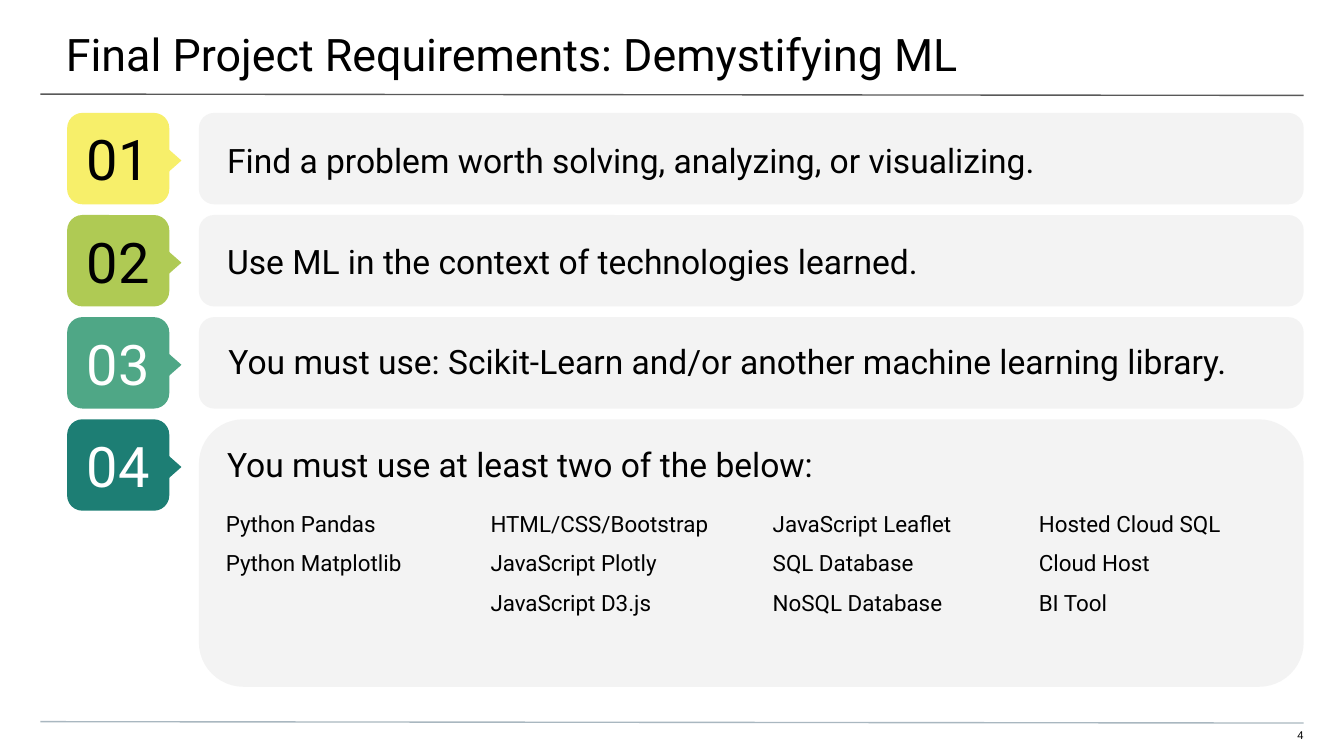
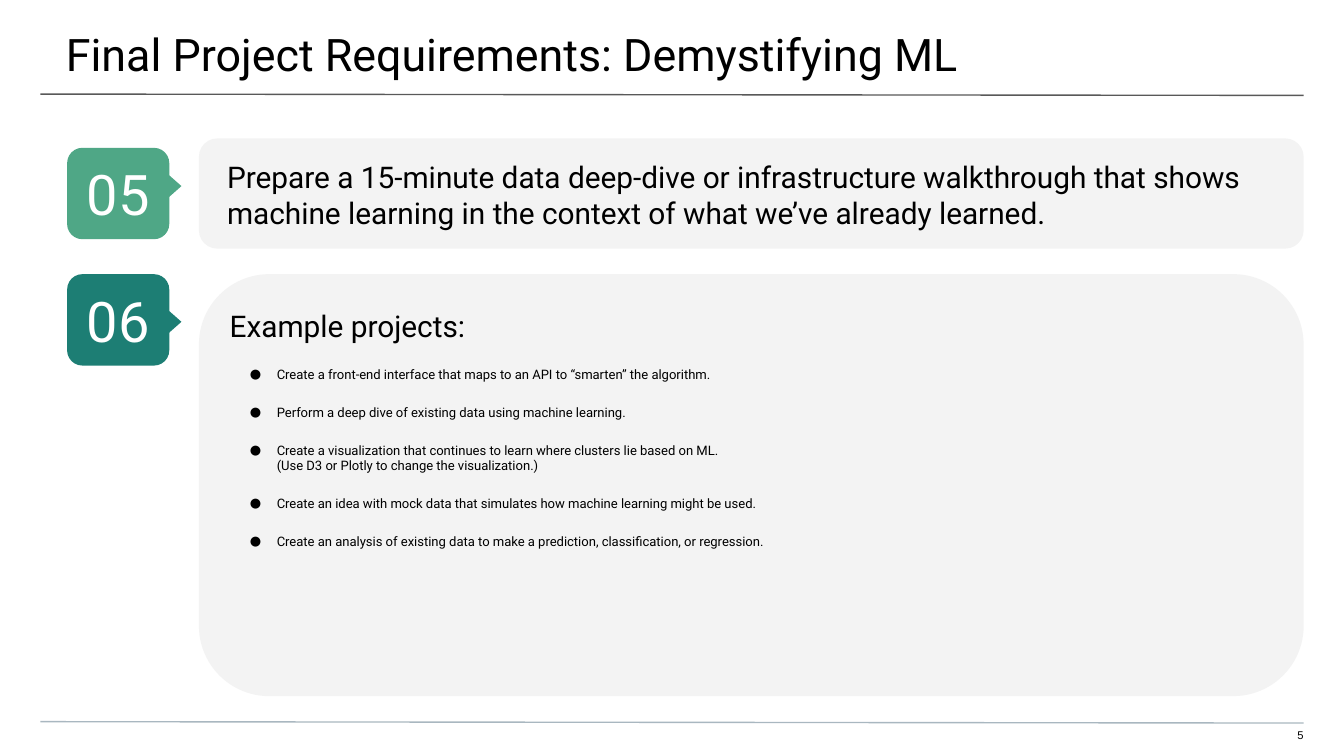
from copy import deepcopy

from lxml import etree
from pptx import Presentation
from pptx.dml.color import RGBColor
from pptx.enum.shapes import MSO_CONNECTOR, MSO_SHAPE
from pptx.enum.text import MSO_ANCHOR, PP_ALIGN
from pptx.oxml.ns import qn
from pptx.util import Inches, Pt

ROUNDED = MSO_SHAPE.ROUNDED_RECTANGLE
TRIANGLE = MSO_SHAPE.FLOWCHART_EXTRACT
STRAIGHT = MSO_CONNECTOR.STRAIGHT
TOP, MIDDLE = MSO_ANCHOR.TOP, MSO_ANCHOR.MIDDLE
LEFT, CENTER, RIGHT = PP_ALIGN.LEFT, PP_ALIGN.CENTER, PP_ALIGN.RIGHT

BLACK, WHITE = "000000", "FFFFFF"
CARD_GRAY = "F3F3F3"
TITLE_RULE, FOOTER_RULE = "595959", "A9B7C0"
YELLOW, LIME, GREEN, TEAL = "F7EF6A", "AFCA54", "4FA786", "1D7E74"
BODY_FONT = "Roboto"

TITLE = "Final Project Requirements: Demystifying ML"
FIRST_TOP, ROW_PITCH, BADGE_HEIGHT = 0.84, 0.76, 0.68
CARD_INSETS = (1.7, 0, 0.5, 0)

REQUIREMENTS = [
    # number, badge fill, number colour, card height, text left, text top, text
    ("01", YELLOW, BLACK, 0.68, -0.01, 0.86,
     "Find a problem worth solving, analyzing, or visualizing."),
    ("02", LIME, BLACK, 0.68, -0.01, 1.61,
     "Use ML in the context of technologies learned."),
    ("03", GREEN, WHITE, 0.68, 0, 2.36,
     "You must use: Scikit-Learn and/or another machine learning library."),
    ("04", TEAL, WHITE, 1.99, -0.01, 3.12,
     "You must use at least two of the below:"),
]

TECHNOLOGIES = [
    (1.97, ["Python Pandas", "Python Matplotlib"]),
    (2.1, ["HTML/CSS/Bootstrap", "JavaScript Plotly", "JavaScript D3.js"]),
    (1.98, ["JavaScript Leaflet", "SQL Database", "NoSQL Database"]),
    (1.97, ["Hosted Cloud SQL", "Cloud Host", "BI Tool"]),
]

EXAMPLES = [
    "Create a front-end interface that maps to an API to “smarten” the algorithm.",
    "Perform a deep dive of existing data using machine learning.",
    "Create a visualization that continues to learn where clusters lie based on ML. \n"
    "(Use D3 or Plotly to change the visualization.)",
    "Create an idea with mock data that simulates how machine learning might be used.",
    "Create an analysis of existing data to make a prediction, classification, or regression.",
]


def color(value):
    return RGBColor.from_string(value)


def write(para, text, size, ink=BLACK, font=BODY_FONT, align=LEFT):
    """Fill a paragraph; a newline in the text becomes a line break."""
    para.alignment = align
    for index, line in enumerate(text.split("\n")):
        if index:
            para.add_line_break()
        span = para.add_run()
        span.text = line
        span.font.size = Pt(size)
        span.font.name = font
        span.font.color.rgb = color(ink)
    for line_break in para._p.findall(qn("a:br")):
        line_break.append(deepcopy(span._r.find(qn("a:rPr"))))


def set_frame(frame, insets, anchor):
    frame.word_wrap = True
    frame.vertical_anchor = anchor
    (frame.margin_left, frame.margin_top,
     frame.margin_right, frame.margin_bottom) = map(Inches, insets)


def add_text(page, place, text, size, insets=CARD_INSETS, anchor=TOP, **style):
    box = page.shapes.add_textbox(*map(Inches, place))
    set_frame(box.text_frame, insets, anchor)
    write(box.text_frame.paragraphs[0], text, size, **style)
    return box


def add_shape(page, kind, place, fill):
    shape = page.shapes.add_shape(kind, *map(Inches, place))
    shape.shadow.inherit = False
    shape.fill.solid()
    shape.fill.fore_color.rgb = color(fill)
    shape.line.fill.background()
    return shape


def add_rule(page, top, ink):
    rule = page.shapes.add_connector(
        STRAIGHT, *map(Inches, (0.3, top, 9.7, top + 0.01)))
    rule.line.color.rgb = color(ink)
    rule.line.width = Pt(0.75)
    etree.SubElement(rule._element.spPr, qn("a:effectLst"))


def add_card(page, top, height):
    add_shape(page, ROUNDED, (1.48, top, 8.22, height), CARD_GRAY)


def add_badge(page, top, number, fill, ink, arrow_offset=0.25):
    """Add a numbered square with a small arrow pointing at its card."""
    badge = add_shape(page, ROUNDED, (0.5, top, 0.76, BADGE_HEIGHT), fill)
    set_frame(badge.text_frame, (0.1, 0.1, 0.1, 0.1), MIDDLE)
    write(badge.text_frame.paragraphs[0], number, 30, ink=ink, align=CENTER)
    arrow = add_shape(page, TRIANGLE, (1.06, top + arrow_offset, 0.37, 0.21), fill)
    arrow.rotation = 90


def add_bullet(frame, text):
    para = frame.add_paragraph()
    props = para._p.get_or_add_pPr()
    props.set("marL", str(Inches(0.35)))
    props.set("indent", str(Inches(-0.2)))
    bullet_color = etree.SubElement(props, qn("a:buClr"))
    etree.SubElement(bullet_color, qn("a:srgbClr"), val=BLACK)
    etree.SubElement(props, qn("a:buFont"), typeface=BODY_FONT)
    etree.SubElement(props, qn("a:buChar"), char="●")
    para.space_before = Pt(12)
    write(para, text, 7)


def add_technology_table(page):
    width = sum(column_width for column_width, _ in TECHNOLOGIES)
    place = map(Inches, (1.58, 3.61, width, 1.37))
    table = page.shapes.add_table(1, len(TECHNOLOGIES), *place).table
    table.first_row = table.horz_banding = False
    for index, (column_width, names) in enumerate(TECHNOLOGIES):
        table.columns[index].width = Inches(column_width)
        cell = table.cell(0, index)
        props = cell._tc.get_or_add_tcPr()
        for side in ("lnL", "lnR", "lnT", "lnB"):
            etree.SubElement(etree.SubElement(props, qn("a:" + side)), qn("a:noFill"))
        cell.fill.background()
        cell.margin_left = cell.margin_right = Inches(0.1)
        cell.margin_top = cell.margin_bottom = Inches(0.1)
        frame = cell.text_frame
        for row, name in enumerate(names):
            para = frame.add_paragraph() if row else frame.paragraphs[0]
            para.line_spacing = 1.5
            write(para, name, 12)


def add_page(deck, number):
    """Add a slide with the shared title, rules and page number."""
    page = deck.slides.add_slide(deck.slide_layouts[6])
    add_rule(page, 0.7, TITLE_RULE)
    add_rule(page, 5.37, FOOTER_RULE)
    add_text(page, (-0.01, 0, 10.03, 0.58), TITLE, 24, insets=(0.5, 0.2, 0.3, 0.1))
    add_text(page, (9.41, 5.42, 0.29, 0.12), number, 6,
             insets=(0, 0, 0, 0.1), font="Arial", align=RIGHT)
    return page


def build_requirements(deck):
    page = add_page(deck, "4")
    for index, requirement in enumerate(REQUIREMENTS):
        number, fill, ink, height, text_left, text_top, text = requirement
        top = FIRST_TOP + index * ROW_PITCH
        add_card(page, top, height)
        add_badge(page, top, number, fill, ink)
        add_text(page, (text_left, text_top, 10.03, 0.66), text, 18, anchor=MIDDLE)
    add_technology_table(page)


def build_examples(deck):
    page = add_page(deck, "5")
    add_card(page, 1.03, 0.82)
    add_badge(page, 1.1, "05", GREEN, WHITE, arrow_offset=0.18)
    add_text(page, (-0.01, 1.04, 10.03, 0.81),
             "Prepare a 15-minute data deep-dive or infrastructure walkthrough that shows "
             "machine learning in the context of what we’ve already learned.",
             16, anchor=MIDDLE)
    add_card(page, 2.04, 3.14)
    add_badge(page, 2.04, "06", TEAL, WHITE)
    box = add_text(page, (0.01, 2.29, 10, 0.66), "Example projects:", 16)
    for example in EXAMPLES:
        add_bullet(box.text_frame, example)
    box.text_frame.paragraphs[-1].space_after = Pt(12)


def main():
    deck = Presentation()
    deck.slide_width = Inches(10)
    deck.slide_height = deck.slide_width * 9 // 16
    build_requirements(deck)
    build_examples(deck)
    deck.save("out.pptx")


if __name__ == "__main__":
    main()
